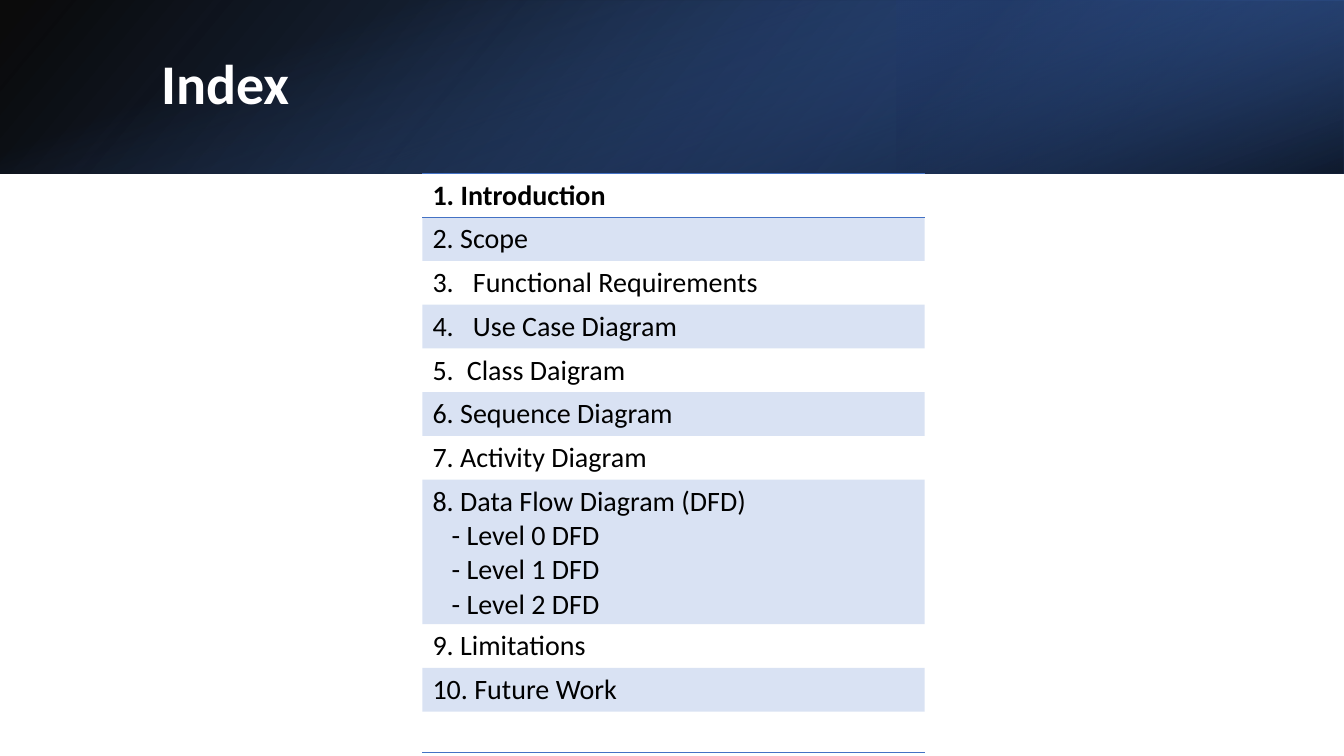
from lxml.etree import SubElement
from pptx import Presentation
from pptx.dml.color import RGBColor
from pptx.enum.shapes import MSO_SHAPE
from pptx.enum.text import MSO_ANCHOR
from pptx.oxml import parse_xml
from pptx.oxml.ns import nsdecls, qn
from pptx.util import Inches, Pt

COLORS = {
    "black": "000000",
    "white": "FFFFFF",
    "accent": "4472C4",
    "deep": "2F5597",
    "navy": "203864",
}
FONT = "Calibri"
PLAIN_TABLE = "{2D5ABB26-0587-4C30-8999-92F81FD0307C}"
BANNER_HEIGHT = 1.72
ROW_HEIGHT = 0.41
DFD_HEIGHT = 1.34
SUBITEM_INDENT = 0.19
TOPICS = [
    ["1. Introduction"],
    ["2. Scope"],
    ["3.\tFunctional Requirements"],
    ["4.\tUse Case Diagram"],
    ["5.\tClass Daigram"],
    ["6. Sequence Diagram"],
    ["7. Activity Diagram"],
    ["8. Data Flow Diagram (DFD)", "- Level 0 DFD", "- Level 1 DFD", "- Level 2 DFD"],
    ["9. Limitations"],
    ["10. Future Work"],
    [""],
]
TAB_STOPS = {2: 0.4, 3: 0.4, 4: 0.34}


def rgb(name):
    """Return the named colour."""
    return RGBColor.from_string(COLORS[name])


def style_font(font, size, color, bold=False):
    """Apply the slide's typeface with a size, colour and weight."""
    font.name, font.size, font.bold = FONT, Pt(size), bold
    font.color.rgb = rgb(color)


def set_alpha(color_element, percent):
    """Give a colour element an opacity in percent."""
    SubElement(color_element, qn("a:alpha")).set("val", str(percent * 1000))


def add_gradient_layer(slide, box, stops, angle, rotation=0, flipped=False):
    """Add one translucent gradient rectangle of the banner."""
    layer = slide.shapes.add_shape(MSO_SHAPE.RECTANGLE, *map(Inches, box))
    layer.shadow.inherit = False
    layer.line.fill.background()
    layer.rotation = rotation
    properties = layer._element.spPr
    if flipped:
        properties.find(qn("a:xfrm")).set("flipH", "1")
    layer.fill.gradient()
    layer.fill.gradient_angle = 360 - angle
    for stop, (position, color, _) in zip(layer.fill.gradient_stops, stops):
        stop.position = position / 100
        stop.color.rgb = rgb(color)
    stop_colors = properties.find(qn("a:gradFill")).iter(qn("a:srgbClr"))
    for stop_color, (_, _, opacity) in zip(list(stop_colors), stops):
        set_alpha(stop_color, opacity)


def add_title(slide, text):
    """Add the slide title over the banner."""
    title = slide.shapes.add_textbox(Inches(1.5), Inches(0.38), Inches(10.98), Inches(0.96))
    frame = title.text_frame
    frame.word_wrap = True
    frame.vertical_anchor = MSO_ANCHOR.MIDDLE
    frame.text = text
    paragraph = frame.paragraphs[0]
    paragraph.line_spacing = 0.9
    style_font(paragraph.runs[0].font, 40, "white", bold=True)


def add_border(cell, side):
    """Draw a one-point accent border on a cell side such as lnB."""
    border = parse_xml(
        f'<a:{side} {nsdecls("a")} w="12700"><a:solidFill>'
        f'<a:srgbClr val="{COLORS["accent"]}"/></a:solidFill></a:{side}>'
    )
    properties = cell._tc.get_or_add_tcPr()
    properties.insert(len(properties.findall(qn("a:lnT"))), border)


def fill_cell(cell, banded):
    """Tint a banded cell and leave any other one clear."""
    if not banded:
        cell.fill.background()
        return
    cell.fill.solid()
    cell.fill.fore_color.rgb = rgb("accent")
    set_alpha(next(cell._tc.tcPr.iter(qn("a:srgbClr"))), 20)


def write_topic(cell, lines, tab_stop, bold):
    """Write a topic and its indented sub-items."""
    frame = cell.text_frame
    frame.text = "\n".join(lines)
    for level, paragraph in enumerate(frame.paragraphs):
        properties = paragraph._p.get_or_add_pPr()
        if level:
            properties.set("marL", str(Inches(SUBITEM_INDENT)))
        if tab_stop:
            tabs = SubElement(properties, qn("a:tabLst"))
            SubElement(tabs, qn("a:tab"), pos=str(Inches(tab_stop)), algn="l")
        for run in paragraph.runs:
            style_font(run.font, 20, "black", bold)


def add_index_table(slide):
    """Add the one-column list of topics."""
    heights = [DFD_HEIGHT if len(lines) > 1 else ROW_HEIGHT for lines in TOPICS]
    frame = slide.shapes.add_table(
        len(TOPICS), 1, Inches(4.19), Inches(BANNER_HEIGHT), Inches(4.98), Inches(sum(heights))
    )
    index = frame.table
    index.first_row = index.horz_banding = False
    index._tbl.tblPr.find(qn("a:tableStyleId")).text = PLAIN_TABLE
    for row, (lines, height) in enumerate(zip(TOPICS, heights)):
        index.rows[row].height = Inches(height)
        cell = index.cell(row, 0)
        write_topic(cell, lines, TAB_STOPS.get(row), bold=row == 0)
        fill_cell(cell, banded=row % 2 == 1)
    add_border(index.cell(0, 0), "lnT")
    add_border(index.cell(0, 0), "lnB")
    add_border(index.cell(len(TOPICS) - 1, 0), "lnB")


def main():
    """Build the index slide."""
    deck = Presentation()
    deck.slide_width, deck.slide_height = Inches(13.33), Inches(7.5)
    slide = deck.slides.add_slide(deck.slide_layouts[6])
    add_gradient_layer(slide, (0, 0, 13.33, BANNER_HEIGHT),
                       [(0, "black", 96), (100, "deep", 100)], 140, flipped=True)
    add_gradient_layer(slide, (8.89, 0, 4.44, BANNER_HEIGHT),
                       [(19, "navy", 68), (100, "accent", 79)], 320, 180, flipped=True)
    add_gradient_layer(slide, (5.8, -5.8, BANNER_HEIGHT, 13.33),
                       [(23, "accent", 0), (99, "black", 74)], 340, 90)
    add_title(slide, "Index")
    add_index_table(slide)
    deck.save("out.pptx")


if __name__ == "__main__":
    main()
